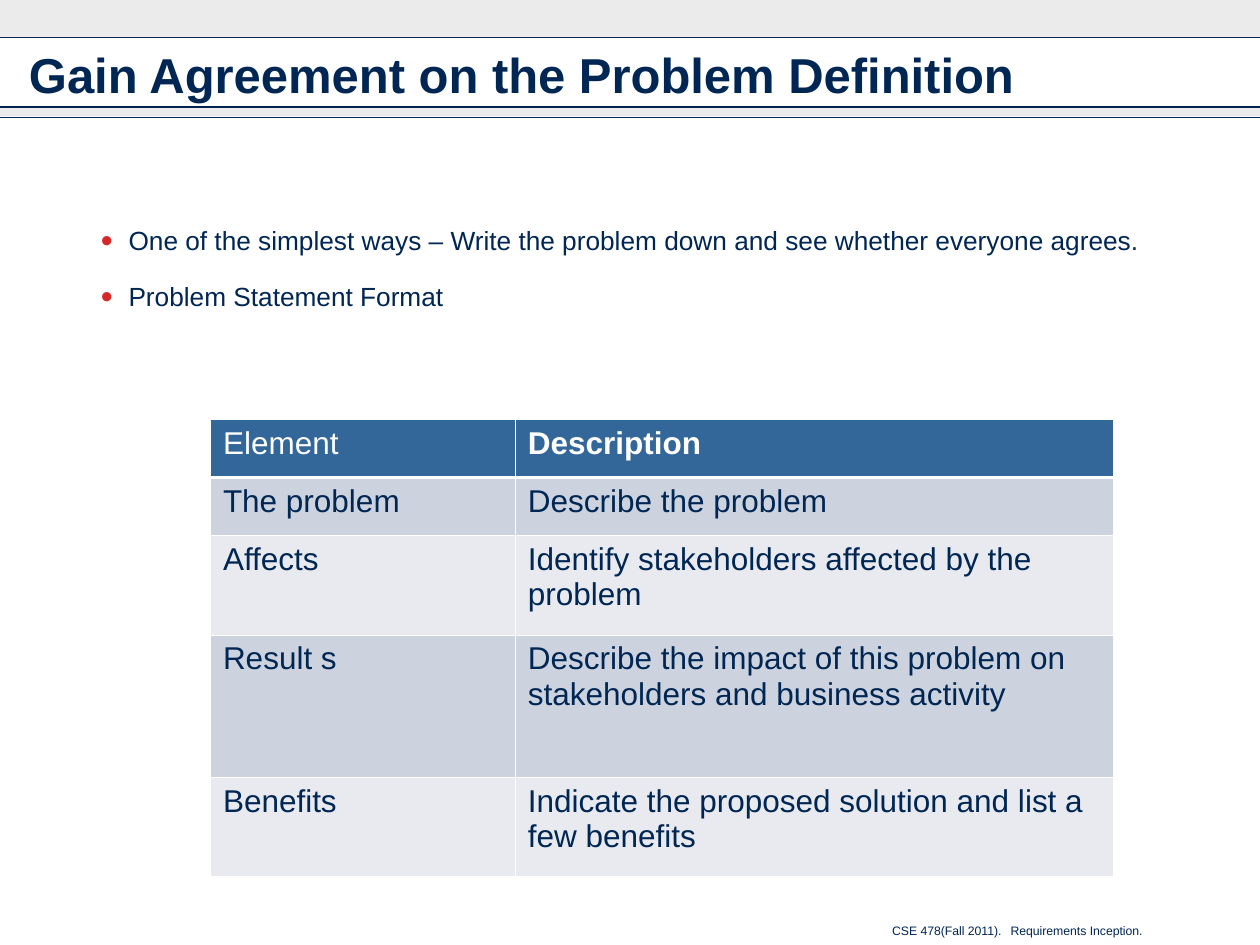
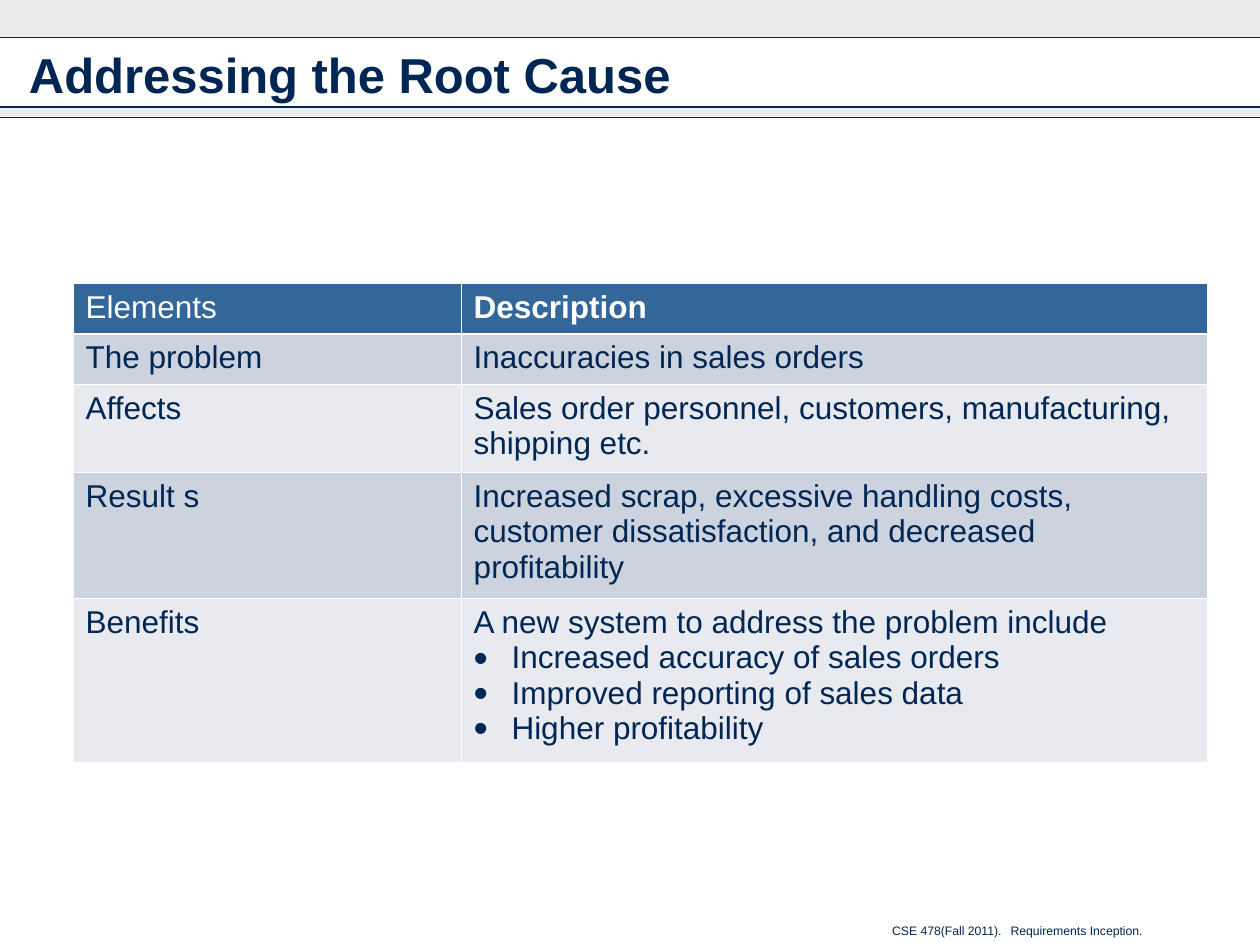
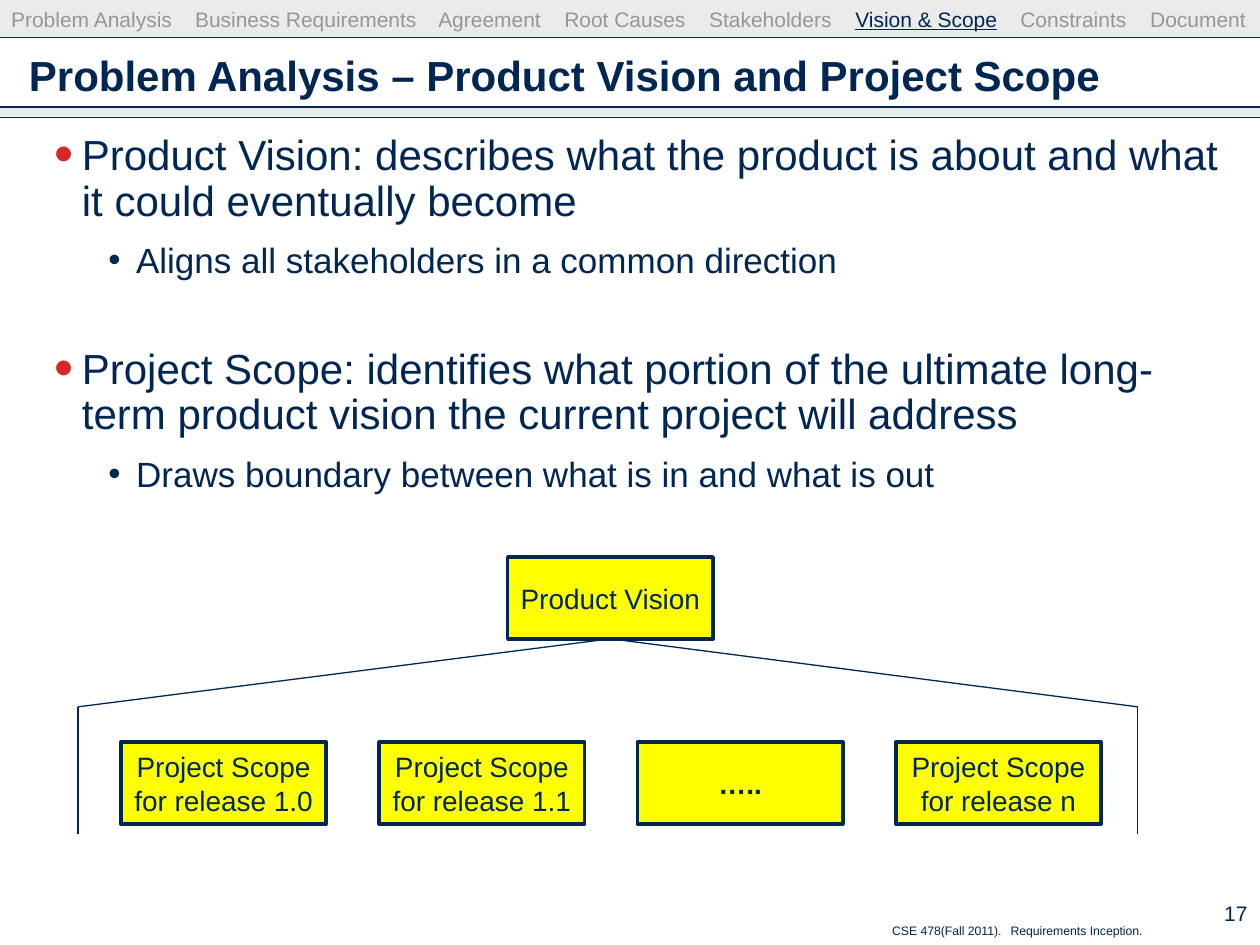
from lxml import etree
from pptx import Presentation
from pptx import util as u
from pptx.dml.color import RGBColor
from pptx.enum import shapes, text
from pptx.oxml.ns import qn

Inches, Pt = u.Inches, u.Pt
FONT = "Arial"
NAVY = RGBColor(0x00, 0x26, 0x54)
RED = RGBColor(0xD6, 0x28, 0x28)
BAND_GREY = RGBColor(0xCD, 0xCD, 0xCD)
NAV_GREY = RGBColor(0x96, 0x96, 0x96)
YELLOW = RGBColor(0xFF, 0xFF, 0x00)
WHITE = RGBColor(0xFF, 0xFF, 0xFF)
HEADER_BLUE = RGBColor(0x33, 0x66, 0x99)
ROW_DARK = RGBColor(0xCD, 0xD3, 0xDE)
ROW_LIGHT = RGBColor(0xE8, 0xEA, 0xEF)
TOPICS = ["Problem Analysis", "Business Requirements", "Agreement", "Root Causes",
          "Stakeholders", "Vision & Scope", "Constraints", "Document"]
TOPIC_TABS = [1.46, 3.39, 4.39, 5.54, 6.70, 8.01, 9.04]


def add_element(parent, tag, **attributes):
    """Append a DrawingML element with the given attributes."""
    element = etree.SubElement(parent, qn(tag))
    for name, value in attributes.items():
        element.set(name, str(value))
    return element


def add_run(paragraph, words, size, color=NAVY, bold=False, underline=False):
    """Add one formatted run to a paragraph."""
    run = paragraph.add_run()
    run.text = words
    font = run.font
    font.name, font.size, font.bold, font.underline = FONT, Pt(size), bold, underline
    font.color.rgb = color


def set_bullet(paragraph, left, hanging, color, percent=100):
    """Give a paragraph a hanging round bullet."""
    properties = paragraph._p.get_or_add_pPr()
    properties.set("marL", str(Inches(left)))
    properties.set("indent", str(-Inches(hanging)))
    add_element(add_element(properties, "a:buClr"), "a:srgbClr", val=color)
    add_element(properties, "a:buSzPct", val=percent * 1000)
    add_element(properties, "a:buFont", typeface=FONT)
    add_element(properties, "a:buChar", char="•")


def set_tabs(paragraph, positions):
    """Give a paragraph left tab stops."""
    tab_list = add_element(paragraph._p.get_or_add_pPr(), "a:tabLst")
    for position in positions:
        add_element(tab_list, "a:tab", pos=Inches(position), algn="l")


def place(shape, left, top, width, height):
    """Move and size a shape."""
    shape.left, shape.top = Inches(left), Inches(top)
    shape.width, shape.height = Inches(width), Inches(height)


def add_text_box(slide, left, top, width, height):
    """Add a wrapping text box and return its frame."""
    box = slide.shapes.add_textbox(Inches(left), Inches(top), Inches(width), Inches(height))
    box.text_frame.word_wrap = True
    return box.text_frame


def add_rectangle(slide, left, top, width, height, color):
    """Add a filled rectangle without outline or shadow."""
    shape = slide.shapes.add_shape(shapes.MSO_SHAPE.RECTANGLE, Inches(left), Inches(top),
                                   Inches(width), Inches(height))
    shape.shadow.inherit = False
    shape.fill.solid()
    shape.fill.fore_color.rgb = color
    shape.line.fill.background()
    return shape


def add_line(slide, start, end):
    """Add a thin navy straight line."""
    line = slide.shapes.add_connector(shapes.MSO_CONNECTOR.STRAIGHT,
                                      *map(Inches, start), *map(Inches, end))
    line.line.color.rgb = NAVY
    line.line.width = Pt(0.75)
    add_element(line._element.spPr, "a:effectLst")
    return line


def add_band(slide, top, height):
    """Add a translucent grey band across the slide."""
    band = add_rectangle(slide, 0, top, 10, height, BAND_GREY)
    color = band._element.spPr.find(".//" + qn("a:srgbClr"))
    add_element(color, "a:alpha", val=40000)


def add_footer(slide):
    """Add the course footer."""
    frame = add_text_box(slide, 3.04, 7.28, 6.21, 0.22)
    frame.margin_left = Inches(4.04)
    paragraph = frame.paragraphs[0]
    set_tabs(paragraph, [0.94])
    add_run(paragraph, "CSE 478(Fall 2011).\tRequirements Inception.", 7)


def start_slide(presentation, layout, title, title_size=28):
    """Add a slide with the shared bands, rules, footer and title."""
    slide = presentation.slides.add_slide(presentation.slide_layouts.get_by_name(layout))
    add_footer(slide)
    add_band(slide, 0, 0.3)
    add_band(slide, 0.85, 0.07)
    for top in (0.3, 0.85, 0.93):
        add_line(slide, (0, top), (10, top))
    place(slide.shapes.title, 0.13, 0.26, 9.74, 0.66)
    frame = slide.shapes.title.text_frame
    frame.auto_size = text.MSO_AUTO_SIZE.NONE
    frame.vertical_anchor = text.MSO_ANCHOR.MIDDLE
    frame.paragraphs[0].alignment = text.PP_ALIGN.LEFT
    add_run(frame.paragraphs[0], title, title_size, bold=True)
    return slide


def fill_body(slide, position, items):
    """Fill the body placeholder with (level, size, space before, words) items."""
    body = slide.placeholders[1]
    place(body, *position)
    frame = body.text_frame
    frame.auto_size = text.MSO_AUTO_SIZE.NONE
    for index, (level, size, space, words) in enumerate(items):
        paragraph = frame.add_paragraph() if index else frame.paragraphs[0]
        paragraph.level = level
        paragraph.line_spacing = Pt(26)
        paragraph.space_before = Pt(space)
        if level:
            set_bullet(paragraph, 0.85, 0.22, NAVY)
        else:
            set_bullet(paragraph, 0.42, 0.22, RED, 130)
        add_run(paragraph, words, size)


def set_borders(cell, row):
    """Draw white cell borders, heavier under the header row."""
    properties = cell._tc.get_or_add_tcPr()
    heavy = {0: "a:lnB", 1: "a:lnT"}.get(row)
    for side in ("a:lnL", "a:lnR", "a:lnT", "a:lnB"):
        border = add_element(properties, side, w=Pt(1.47 if side == heavy else 0.45))
        add_element(add_element(border, "a:solidFill"), "a:srgbClr", val=WHITE)


def fill_cell(cell, row, column, lines):
    """Fill a cell with a first line and any bulleted lines after it."""
    set_borders(cell, row)
    cell.fill.solid()
    cell.fill.fore_color.rgb = HEADER_BLUE if row == 0 else (ROW_LIGHT, ROW_DARK)[row % 2]
    for index, words in enumerate(lines.split("\n")):
        paragraph = cell.text_frame.add_paragraph() if index else cell.text_frame.paragraphs[0]
        if index:
            set_bullet(paragraph, 0.3, 0.3, NAVY, 130)
        add_run(paragraph, words, 18, NAVY if row else WHITE, bold=row == 0 and column == 1)


def add_problem_table(slide, left, top, widths, heights, rows):
    """Add a two-column problem statement table."""
    table = slide.shapes.add_table(len(heights), len(widths), Inches(left), Inches(top),
                                   Inches(sum(widths)), Inches(sum(heights))).table
    for column, width in zip(table.columns, widths):
        column.width = Inches(width)
    for row, (height, contents) in enumerate(zip(heights, rows)):
        table.rows[row].height = Inches(height)
        for column, lines in enumerate(contents):
            fill_cell(table.cell(row, column), row, column, lines)


def add_yellow_box(slide, left, top, label, bold=False):
    """Add an outlined yellow box with a centred label."""
    box = add_rectangle(slide, left, top, 1.63, 0.65, YELLOW)
    box.line.color.rgb = NAVY
    box.line.width = Pt(2)
    frame = box.text_frame
    frame.margin_left = frame.margin_right = Inches(0.06)
    frame.vertical_anchor = text.MSO_ANCHOR.MIDDLE
    paragraph = frame.paragraphs[0]
    paragraph.alignment = text.PP_ALIGN.CENTER
    for index, words in enumerate(label.split("\n")):
        if index:
            paragraph.add_line_break()
        add_run(paragraph, words, 16, bold=bold)
    return box


def add_topic_bar(slide, current):
    """Add the topic list in the top band with the current topic marked."""
    frame = add_text_box(slide, -0.01, 0.05, 10.03, 0.25)
    frame.margin_top = frame.margin_right = 0
    paragraph = frame.paragraphs[0]
    set_tabs(paragraph, TOPIC_TABS)
    for index, topic in enumerate(TOPICS):
        if index:
            add_run(paragraph, "\t", 12, NAV_GREY)
        marked = topic == current
        add_run(paragraph, topic, 12, NAVY if marked else NAV_GREY, underline=marked)


def add_page_number(slide, number):
    """Add the page number at the lower right."""
    frame = add_text_box(slide, 9.3, 7.08, 0.7, 0.34)
    frame.vertical_anchor = text.MSO_ANCHOR.MIDDLE
    frame.paragraphs[0].alignment = text.PP_ALIGN.RIGHT
    add_run(frame.paragraphs[0], number, 12)


def add_scope_diagram(slide):
    """Draw the product vision spanning the project scopes."""
    vision = add_yellow_box(slide, 4.03, 4.42, "Product Vision")
    for side in (0.62, 9.03):
        add_line(slide, (side, 6.62), (side, 5.61))
        add_line(slide, (side, 5.61), (4.84, 5.07)).end_connect(vision, 2)
    labels = ["Project Scope\nfor release 1.0", "Project Scope\nfor release 1.1", "…..",
              "Project Scope\nfor release n"]
    for index, label in enumerate(labels):
        add_yellow_box(slide, 0.96 + 2.05 * index, 5.89, label, bold=label == "…..")


def main():
    """Build the three slides."""
    presentation = Presentation()
    presentation.slide_width, presentation.slide_height = Inches(10), Inches(7.5)

    slide = start_slide(presentation, "Title and Content",
                        "Gain Agreement on the Problem Definition")
    fill_body(slide, (0.5, 1.62, 9, 0.88), [
        (0, 15, 0, "One of the simplest ways – Write the problem down and see whether "
                   "everyone agrees."),
        (0, 15, 6, "Problem Statement Format")])
    add_problem_table(slide, 1.67, 3.33, [2.42, 4.75], [0.46, 0.46, 0.79, 1.13, 0.79], [
        ("Element", "Description"),
        ("The problem", "Describe the problem"),
        ("Affects", "Identify stakeholders affected by the problem"),
        ("Result s", "Describe the impact of this problem on stakeholders and business activity"),
        ("Benefits", "Indicate the proposed solution and list a few benefits")])

    slide = start_slide(presentation, "Title Only", "Addressing the Root Cause")
    add_problem_table(slide, 0.58, 2.25, [3.08, 5.92], [0.4, 0.4, 0.7, 1, 1.3], [
        ("Elements", "Description"),
        ("The problem", "Inaccuracies in sales orders"),
        ("Affects", "Sales order personnel, customers, manufacturing, shipping etc."),
        ("Result s", "Increased scrap, excessive handling costs, customer dissatisfaction, "
                     "and decreased profitability"),
        ("Benefits", "A new system to address the problem include\n"
                     "Increased accuracy of sales orders\n"
                     "Improved reporting of sales data\nHigher profitability")])

    slide = start_slide(presentation, "Title and Content",
                        "Problem Analysis – Product Vision and Project Scope", 24)
    fill_body(slide, (0.13, 1.01, 9.74, 6.1), [
        (0, 24, 0, "Product Vision: describes what the product is about and what it could "
                   "eventually become"),
        (1, 20, 6, "Aligns all stakeholders in a common direction"),
        (0, 24, 38, "Project Scope: identifies what portion of the ultimate long-term product "
                    "vision the current project will address"),
        (1, 20, 6, "Draws boundary between what is in and what is out")])
    add_page_number(slide, "17")
    add_scope_diagram(slide)
    add_topic_bar(slide, "Vision & Scope")

    presentation.save("out.pptx")


if __name__ == "__main__":
    main()
